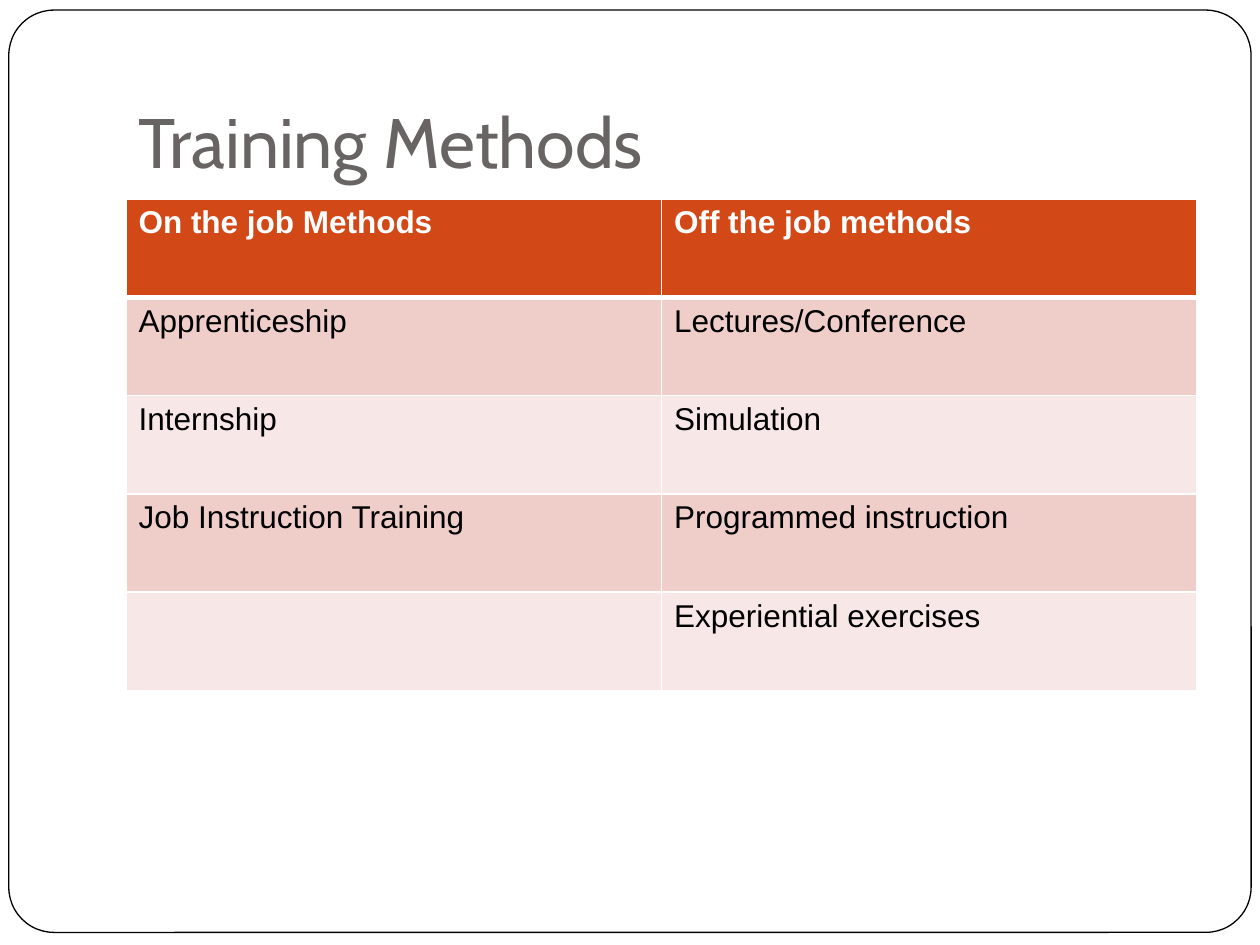
from lxml.etree import SubElement
from pptx import Presentation
from pptx.dml.color import RGBColor
from pptx.enum.shapes import MSO_SHAPE
from pptx.enum.text import MSO_ANCHOR, PP_ALIGN
from pptx.oxml.ns import qn
from pptx.util import Inches, Pt

TITLE = "Training Methods"
ROWS = [
    ("On the job Methods", "Off the job methods"),
    ("Apprenticeship", "Lectures/Conference"),
    ("Internship", "Simulation"),
    ("Job Instruction Training", "Programmed instruction"),
    ("", "Experiential exercises"),
]
HEAD, BANDS = "D34817", ("F7E8E7", "EFCECA")
WHITE, BLACK, GREY = "FFFFFF", "000000", "696464"
LEFT, TOP, WIDTH, ROW = 1, 1.58, 8.5, 0.78


def paint(target, color):
    target.solid()
    target.fore_color.rgb = RGBColor.from_string(color)


def style(para, face, size, color, bold=False):
    para.alignment = PP_ALIGN.LEFT
    font = para.font
    font.name, font.size, font.bold = face, Pt(size), bold
    paint(font.fill, color)


def edge(cell, side, width):
    line = SubElement(cell._tc.get_or_add_tcPr(), qn(f"a:{side}"), w=str(Pt(width)))
    fill = SubElement(line, qn("a:solidFill"))
    SubElement(fill, qn("a:srgbClr"), val=WHITE)


def add_title(slide):
    title = slide.shapes.title
    title.left, title.top = Inches(LEFT), Inches(0.3)
    title.width, title.height = Inches(WIDTH), Inches(1.25)
    frame = title.text_frame
    frame.text = TITLE
    frame.vertical_anchor = MSO_ANCHOR.BOTTOM
    frame.margin_bottom = Inches(0.1)
    style(frame.paragraphs[0], "Cabin", 40, GREY)


def add_frame(slide):
    box = [Inches(n) for n in (0.07, 0.08, 9.86, 7.32)]
    frame = slide.shapes.add_shape(MSO_SHAPE.ROUNDED_RECTANGLE, *box)
    frame.adjustments[0] = 0.049
    frame.shadow.inherit = False
    paint(frame.fill, WHITE)
    paint(frame.line.fill, BLACK)
    frame.line.width = Pt(0.75)
    slide.shapes.title.element.addprevious(frame.element)


def add_grid(slide):
    box = [Inches(n) for n in (LEFT, TOP, WIDTH, ROW * len(ROWS))]
    table = slide.shapes.add_table(len(ROWS), len(ROWS[0]), *box).table
    for r, row in enumerate(ROWS):
        for c, text in enumerate(row):
            cell = table.cell(r, c)
            cell.text = text
            head = r == 0
            style(cell.text_frame.paragraphs[0], "Arial", 18,
                  WHITE if head else BLACK, head)
            for side in ("lnL", "lnR", "lnT", "lnB"):
                thick = (r, side) in ((0, "lnB"), (1, "lnT"))
                edge(cell, side, 3 if thick else 1)
            paint(cell.fill, HEAD if head else BANDS[r % 2])


def main():
    """Build the training methods slide."""
    deck = Presentation()
    deck.slide_width, deck.slide_height = Inches(10), Inches(7.5)
    slide = deck.slides.add_slide(deck.slide_layouts[5])
    add_title(slide)
    add_frame(slide)
    add_grid(slide)
    deck.save("out.pptx")


if __name__ == "__main__":
    main()
